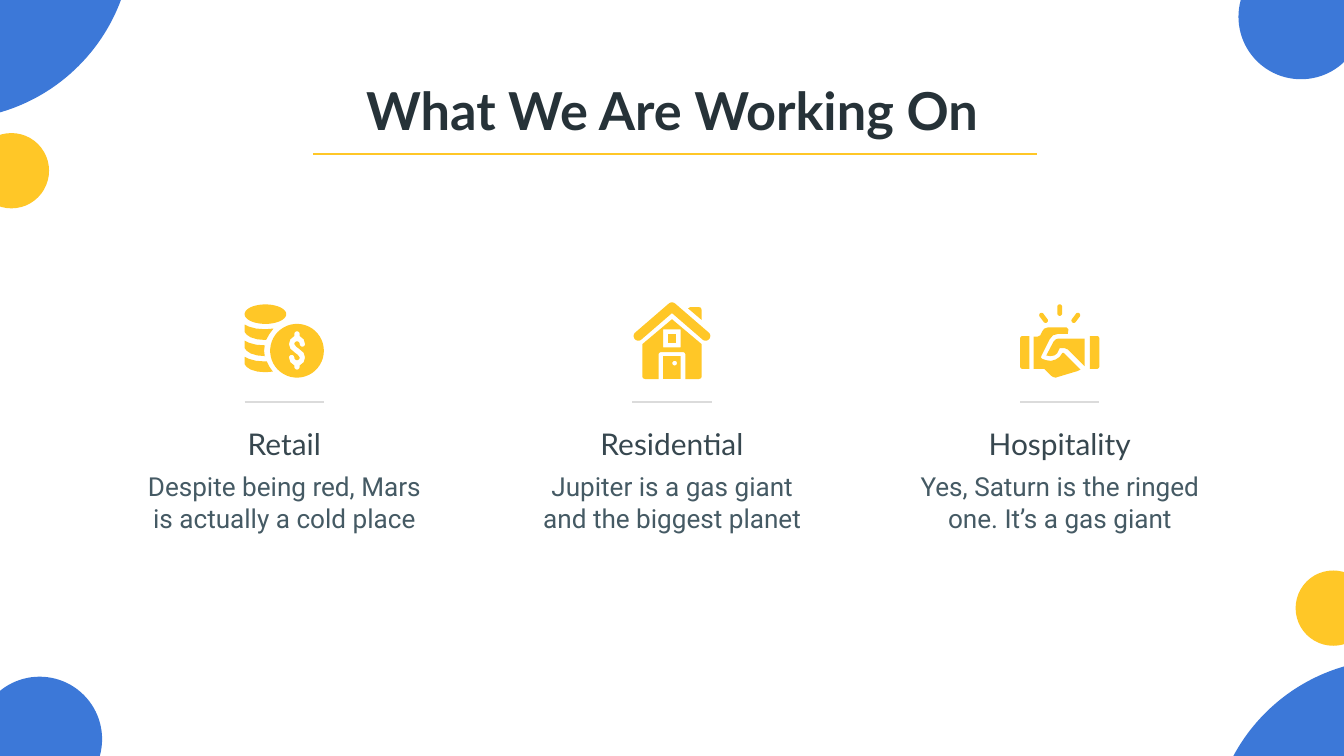
from dataclasses import dataclass
from math import cos, radians, sin

from lxml.etree import SubElement
from pptx import Presentation
from pptx.dml.color import RGBColor
from pptx.enum.shapes import MSO_CONNECTOR as Connector, MSO_SHAPE as Shape
from pptx.enum.text import MSO_ANCHOR as Anchor, PP_ALIGN as Align
from pptx.oxml.ns import qn
from pptx.util import Inches, Pt


@dataclass(frozen=True)
class Theme:
    blue: str = "3C78D8"
    yellow: str = "FFC727"
    rule: str = "DBDBDB"
    title: tuple = ("Lato", 56, "263238", True)
    heading: tuple = ("Lato", 32, "37474F", False)
    body: tuple = ("Roboto", 28, "455A64", False)
    line_width: float = 2.25
    inset: float = 0.2


THEME = Theme()
WIDTH, HEIGHT = Inches(20), Inches(11.25)
MIDDLE, COLUMN_PITCH = 50, 28.85  # percent of the slide's width
ICON_ROW, DIVIDER_ROW, HEADING_ROW, BODY_ROW = 40, 53.16, 54.58, 61.33  # percent of its height


def across(percent):
    return round(WIDTH * percent / 100)


def down(percent):
    return round(HEIGHT * percent / 100)


# Outline helpers for the icons, in hundredths of an inch from the icon's top middle
def arc(cx, cy, radius, start=0, end=360, ry=None):
    steps = max(8, round(abs(end - start) / 8))
    angles = [radians(start + (end - start) * i / steps) for i in range(steps + 1)]
    return [(cx + radius * cos(a), cy + (ry or radius) * sin(a)) for a in angles]


def box(left, top, right, bottom):
    return [(left, top), (right, top), (right, bottom), (left, bottom)]


def capsule(x1, y1, x2, y2, radius, angle):
    return arc(x1, y1, radius, angle, angle + 180) + arc(x2, y2, radius, angle + 180, angle + 360)


def mirrored(contour):
    return [(-x, y) for x, y in contour]


def shifted(contour, dy):
    return [(x, y + dy) for x, y in contour]


# Each icon is a list of parts, each part a list of contours (later ones are holes)
def coins_icon():
    dollar = [
        (15, 50), *arc(19, 47, 4, 180, 360), (23, 50), (29, 55),
        *arc(27, 62, 4, 0, 180), *arc(19, 62, 4, 0, -180), (18, 66), (22, 69), (29, 75),
        (31, 82), (29, 89), (23, 94), *arc(19, 96, 4, 0, 180), (15, 94), (9, 89),
        *arc(11, 82, 4, 180, 0 + 360), *arc(19, 82, 4, 180, 0), (20, 78), (16, 75),
        (9, 69), (7, 62), (9, 55)]
    # Left edge shared by the stacked coins; each right end follows the front coin
    edge = [(-28, 40), (-42, 39), (-53, 36), (-59, 33), (-59, 44), (-56, 48),
            (-50, 52), (-40, 55), (-28, 56)]
    right_ends = [[(-27, 56), (-22, 47), (-16, 39)],
                  [(-29, 80), (-30, 72), (-29, 64)],
                  [(-17, 103), (-22, 96), (-26, 88)]]
    stack = [[shifted(edge, 24 * i) + end] for i, end in enumerate(right_ends)]
    return [[arc(19, 72, 40), dollar], [arc(-28, 17.5, 31, ry=14.5)], *stack]


def house_icon():
    chimney = [(24, 9), (27, 7), (40, 7), (43, 8), (44, 11), (44, 26)]
    roof = [*arc(0, 7, 7, -50, -130), *arc(-50, 50, 7, 225, 51), (0, 16),
            *arc(50, 50, 7, 129, -45)]
    right_wall = [(44, 62), (44, 111), (43, 113), (40, 114), (20, 114), (20, 77),
                  (19, 75), (17, 74)]
    walls = [(0, 25), *right_wall, *reversed(mirrored(right_wall))]
    return [[chimney], [box(-13, 80, 13, 114), arc(4, 90.5, 3.5)], [box(-6.5, 47, 6.5, 60)],
            [roof], [walls, box(-13, 40, 13, 67)]]


def handshake_icon():
    side_ray = capsule(-27, 19, -21, 27, 3.5, 135)
    cuff = [(45, 50), *arc(55, 54, 4, -90, 0), *arc(55, 95, 4, 0, 90), (45, 99)]
    thumb = [(-3, 54), (-6, 55), (-9, 58), (-20, 79), (-14, 80), (-8, 79), (-4, 76),
             (0, 68), (7, 68), (12, 70), (37, 95), (37, 54)]
    palm = [(-17, 37), (-23, 39), (-26, 43), (-29, 49), (-33, 51), (-39, 51), (-39, 99),
            (-23, 99), (-13, 109), (-10, 111), (-6, 112), (-3, 111), (27, 102), (31, 100),
            (6, 75), (4, 75), (0, 81), (-6, 85), (-13, 87), (-20, 86), (-26, 84),
            (-28, 82), (-27, 79), (-15, 55), (-10, 49), (-3, 47), (12, 47), (13, 40), (10, 37)]
    return [[capsule(0, 6.5, 0, 16.5, 3.5, 180)], [side_ray], [mirrored(side_ray)],
            [cuff], [mirrored(cuff)], [thumb], [palm]]


# Slide elements
def paint(shape, color):
    shape.fill.solid()
    shape.fill.fore_color.rgb = RGBColor.from_string(color)
    shape.line.fill.background()
    shape.shadow.inherit = False


def add_circle(slide, center_x, center_y, diameter, color):
    size = across(diameter)
    circle = slide.shapes.add_shape(
        Shape.OVAL, across(center_x) - size // 2, down(center_y) - size // 2, size, size)
    paint(circle, color)


def add_rule(slide, center, row, width, color):
    rule = slide.shapes.add_connector(
        Connector.STRAIGHT, across(center - width / 2), down(row),
        across(center + width / 2), down(row))
    rule.line.color.rgb = RGBColor.from_string(color)
    rule.line.width = Pt(THEME.line_width)
    SubElement(rule._element.spPr, qn("a:effectLst"))


def add_text(slide, text, center, row, width, height, style, anchor=Anchor.TOP, space_after=0):
    label = slide.shapes.add_textbox(
        across(center - width / 2), down(row), across(width), down(height))
    frame = label.text_frame
    frame.text = text
    frame.word_wrap = True
    frame.vertical_anchor = anchor
    frame.margin_left = frame.margin_right = Inches(THEME.inset)
    frame.margin_top = frame.margin_bottom = Inches(THEME.inset)
    paragraph = frame.paragraphs[0]
    paragraph.alignment = Align.CENTER
    paragraph.space_after = Pt(space_after)
    font = paragraph.runs[0].font
    font.name, font.bold = style[0], style[3]
    font.size = Pt(style[1])
    font.color.rgb = RGBColor.from_string(style[2])


def add_icon(slide, parts, center):
    icon = slide.shapes.add_group_shape()
    for contours in parts:
        # Ten outline units per hundredth of an inch keep the curves smooth
        scaled = [[(x * 10, y * 10) for x, y in contour] for contour in contours]
        builder = icon.shapes.build_freeform(*scaled[0][0], scale=Inches(0.01) / 10)
        builder.add_line_segments(scaled[0][1:], close=True)
        for hole in scaled[1:]:
            builder.move_to(*hole[0])
            builder.add_line_segments(hole[1:], close=True)
        paint(builder.convert_to_shape(across(center), down(ICON_ROW)), THEME.yellow)


def add_sector(slide, column, icon, heading, body):
    center = MIDDLE + COLUMN_PITCH * (column - 1)
    add_icon(slide, icon, center)
    add_rule(slide, center, DIVIDER_ROW, 5.9, THEME.rule)
    add_text(slide, heading, center, HEADING_ROW, 26.55, 7.73, THEME.heading, space_after=32)
    add_text(slide, body, center, BODY_ROW, 23.1, 10.13, THEME.body, Anchor.MIDDLE)


def main():
    deck = Presentation()
    deck.slide_width, deck.slide_height = WIDTH, HEIGHT
    slide = deck.slides.add_slide(deck.slide_layouts[6])

    # Corner circles: center and diameter in percent
    for circle in [(0.85, 22.58, 5.6, THEME.yellow), (-3.8, -8.44, 27.3, THEME.blue),
                   (99.2, 80.44, 5.6, THEME.yellow), (103.8, 111.47, 27.3, THEME.blue),
                   (96.8, 2.22, 9.3, THEME.blue), (2.95, 97.78, 9.3, THEME.blue)]:
        add_circle(slide, *circle)

    # Title
    add_text(slide, "What We Are Working On", MIDDLE, 8.62, 84.25, 11.11, THEME.title)
    add_rule(slide, 50.22, 20.36, 53.85, THEME.yellow)

    # Sectors
    sectors = [
        (coins_icon(), "Retail", "Despite being red, Mars is actually a cold place"),
        (house_icon(), "Residential", "Jupiter is a gas giant and the biggest planet"),
        (handshake_icon(), "Hospitality", "Yes, Saturn is the ringed one. It’s a gas giant")]
    for column, sector in enumerate(sectors):
        add_sector(slide, column, *sector)

    deck.save("out.pptx")


if __name__ == "__main__":
    main()
